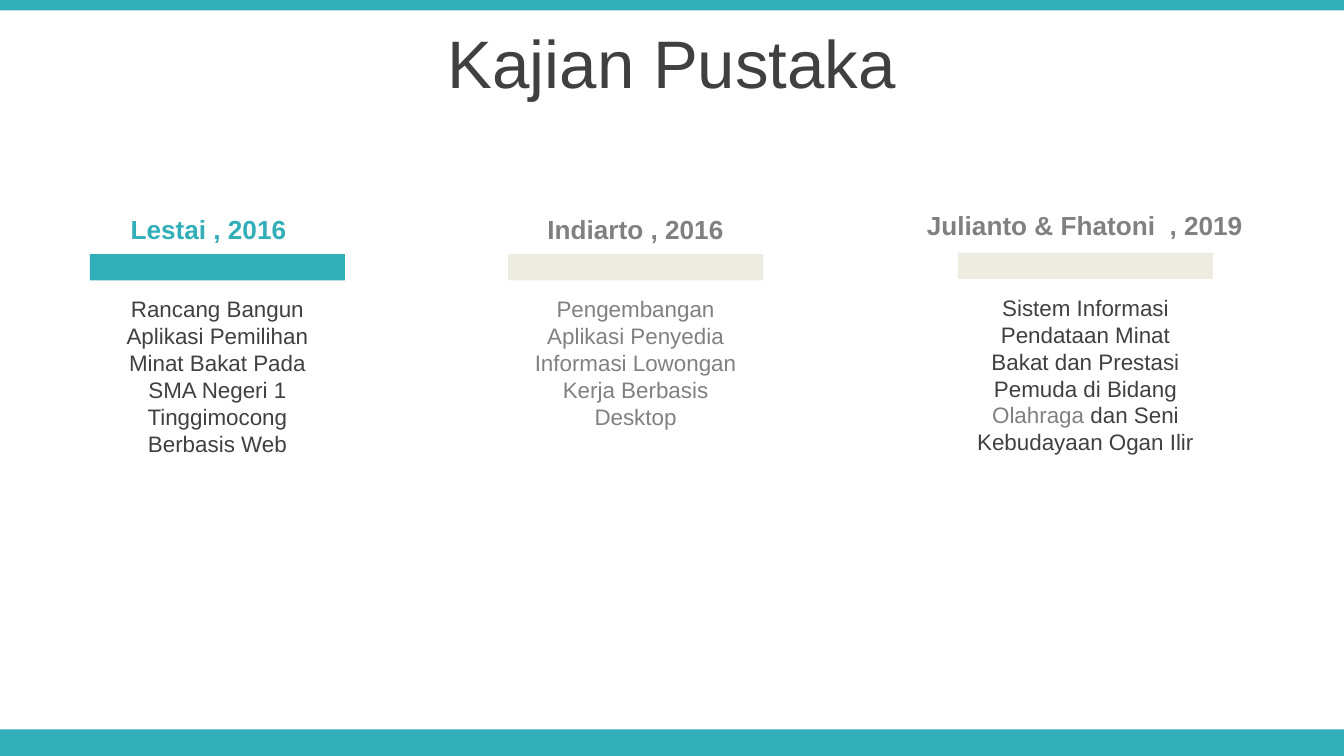
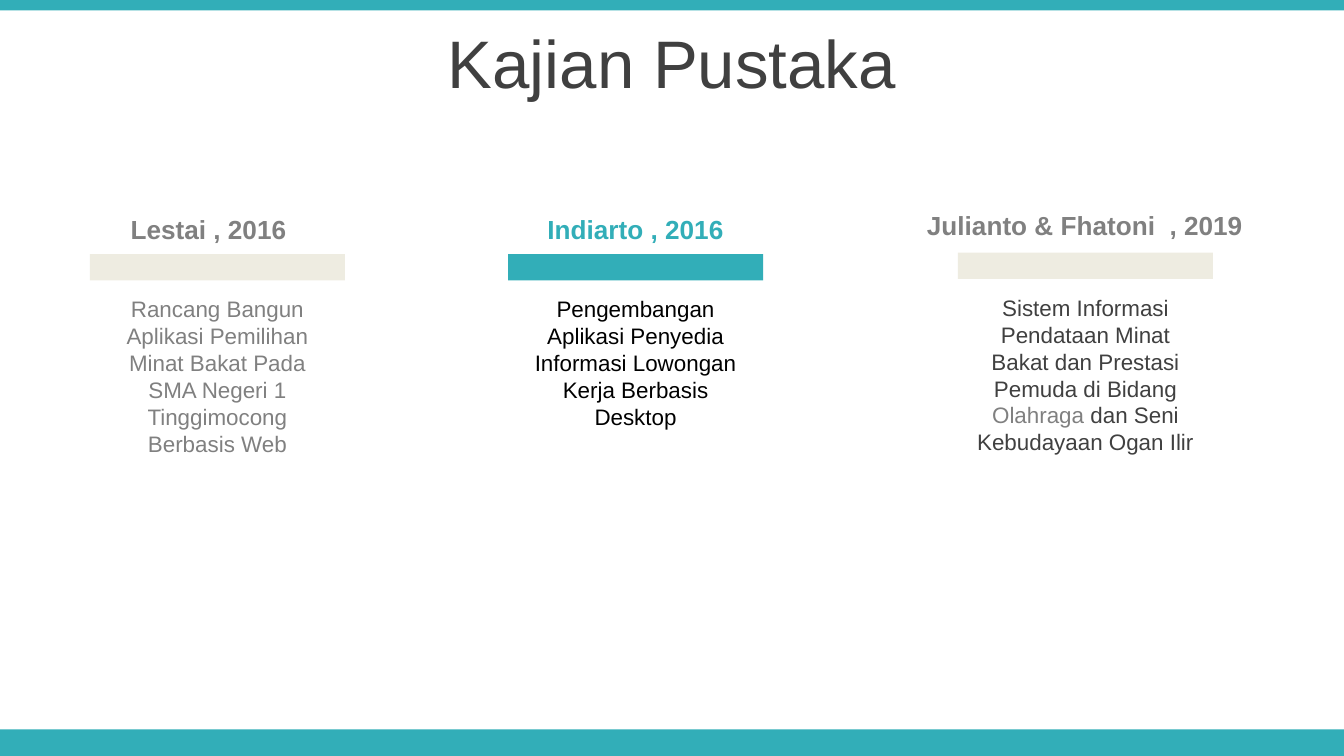
from dataclasses import dataclass

from pptx import Presentation
from pptx import util as u
from pptx.dml.color import RGBColor
from pptx.enum import shapes, text

Pt = u.Pt
COLORS = {
    "teal": "32AEB8",
    "cream": "EEECE1",
    "dark": "404040",
    "gray": "808080",
    "black": "000000",
    "white": "FFFFFF",
}
FONT = "Arial"
WIDTH, HEIGHT = 720, 405
BAR_W, BAR_H = 136.6, 14.1
BODY_OFFSET = 18.7


@dataclass
class Study:
    head: str
    head_box: tuple
    bar_left: float
    bar_top: float
    body: tuple
    body_height: float


STUDIES = [
    Study("Lestai , 2016", (35.4, 110.9, 152.6, 24.2), 48.2, 136.1,
          ("Rancang Bangun Aplikasi Pemilihan Minat Bakat Pada "
           "SMA Negeri 1 Tinggimocong Berbasis Web",), 94.3),
    Study("Indiarto , 2016", (264.2, 110.9, 152.6, 24.2), 272.2, 136.1,
          ("Pengembangan Aplikasi Penyedia Informasi Lowongan "
           "Kerja Berbasis Desktop",), 79.9),
    Study("Julianto & Fhatoni  , 2019", (478.2, 108.8, 206, 24.2), 513.2, 135.3,
          ("Sistem Informasi Pendataan Minat Bakat dan Prestasi "
           "Pemuda di Bidang ", "Olahraga", " dan Seni Kebudayaan Ogan Ilir"), 94.3),
]
MIXED = ("dark", "gray", "dark")
SLIDES = [
    {"active": 0, "body_colors": [("dark",), ("gray",), MIXED], "fills": [None] * 3},
    {"active": 1, "body_colors": [("gray",), ("black",), MIXED],
     "fills": ["white", None, None]},
]


def rgb(name):
    return RGBColor.from_string(COLORS[name])


def write(tf, *parts, colors=("dark",), size=12, bold=False,
          anchor=text.MSO_ANCHOR.TOP, fit=text.MSO_AUTO_SIZE.SHAPE_TO_FIT_TEXT):
    tf.word_wrap = True
    tf.auto_size = fit
    tf.vertical_anchor = anchor
    p = tf.paragraphs[0]
    p.alignment = text.PP_ALIGN.CENTER
    for part, color in zip(parts, colors):
        r = p.add_run()
        r.text = part
        r.font.name = FONT
        r.font.size = Pt(size)
        r.font.bold = bold
        r.font.color.rgb = rgb(color)


class Deck:
    def __init__(self):
        self.prs = Presentation()
        self.prs.slide_width, self.prs.slide_height = Pt(WIDTH), Pt(HEIGHT)
        self.layout = self.prs.slide_layouts.get_by_name("Title Only")
        self.s = None

    def slide(self, title):
        first = self.s is None
        self.s = self.prs.slides.add_slide(self.layout)
        if first:
            self.layout_band(0, 5.6, 101)
            self.layout_band(390.8, 14.2, 102)
        sp = self.s.shapes.title
        sp.left, sp.top, sp.width, sp.height = Pt(0), Pt(10.1), Pt(WIDTH), Pt(45.4)
        write(sp.text_frame, title, size=36, anchor=text.MSO_ANCHOR.MIDDLE,
              fit=text.MSO_AUTO_SIZE.NONE)

    def layout_band(self, top, height, shape_id):
        sp = self.rect(self.s.shapes, (0, top, WIDTH, height), "teal")
        sp.element.nvSpPr.cNvPr.set("id", str(shape_id))
        self.layout.shapes.element.append(sp.element)

    def rect(self, parent, box, color):
        sp = parent.add_shape(shapes.MSO_SHAPE.RECTANGLE, *map(Pt, box))
        sp.shadow.inherit = False
        sp.fill.solid()
        sp.fill.fore_color.rgb = rgb(color)
        sp.line.fill.background()
        return sp

    def textbox(self, parent, box, *parts, fill=None, **style):
        sp = parent.add_textbox(*map(Pt, box))
        if fill:
            sp.fill.solid()
            sp.fill.fore_color.rgb = rgb(fill)
        write(sp.text_frame, *parts, **style)

    def study(self, study, active, body_colors, fill):
        self.textbox(self.s.shapes, study.head_box, study.head, size=14, bold=True,
                     colors=("teal" if active else "gray",))
        group = self.s.shapes.add_group_shape().shapes
        body_box = (study.bar_left, study.bar_top + BODY_OFFSET, BAR_W, study.body_height)
        self.textbox(group, body_box, *study.body, colors=body_colors, fill=fill)
        self.rect(group, (study.bar_left, study.bar_top, BAR_W, BAR_H),
                  "teal" if active else "cream")


def main():
    deck = Deck()
    for spec_row in SLIDES:
        deck.slide("Kajian Pustaka")
        rows = zip(STUDIES, spec_row["body_colors"], spec_row["fills"])
        for i, (study, body_colors, fill) in enumerate(rows):
            deck.study(study, i == spec_row["active"], body_colors, fill)
    deck.prs.save("out.pptx")


if __name__ == "__main__":
    main()
